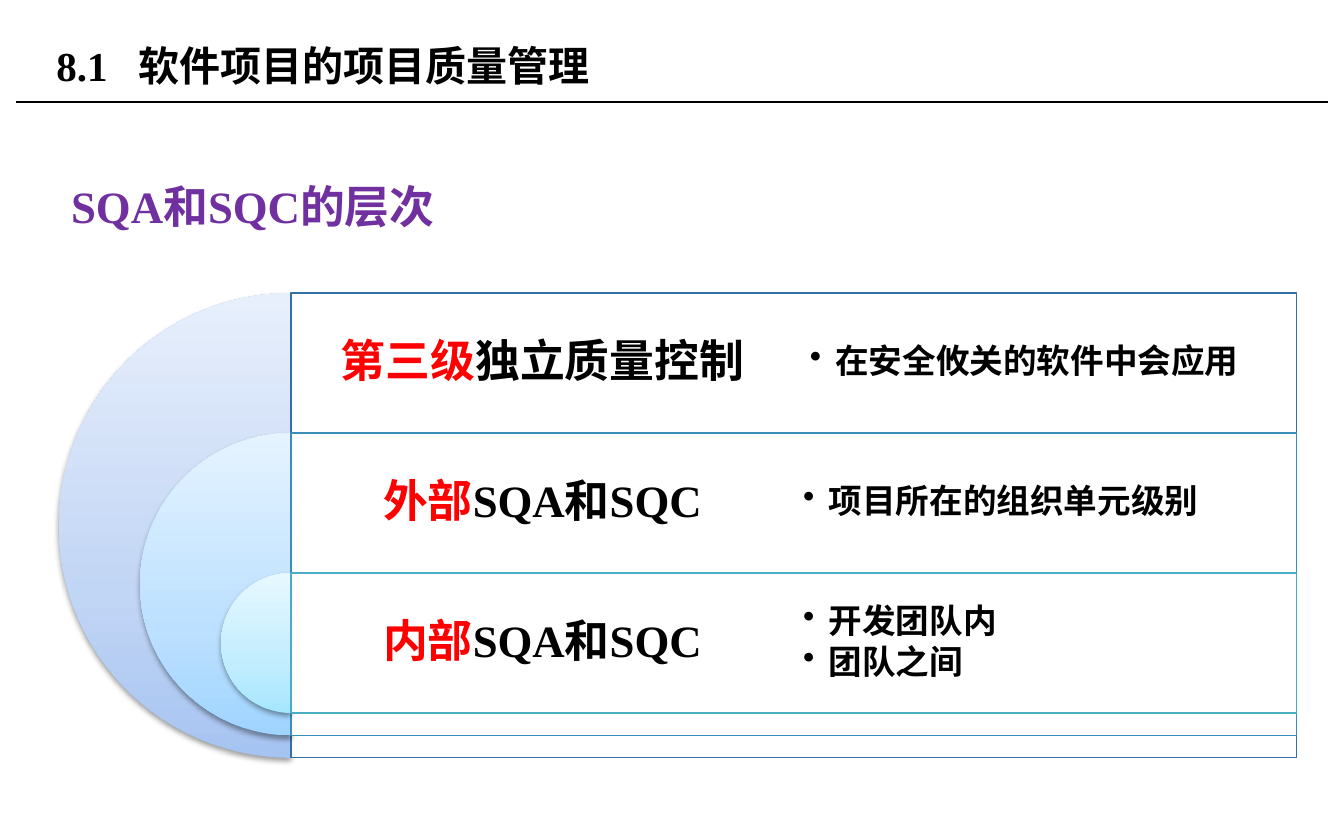
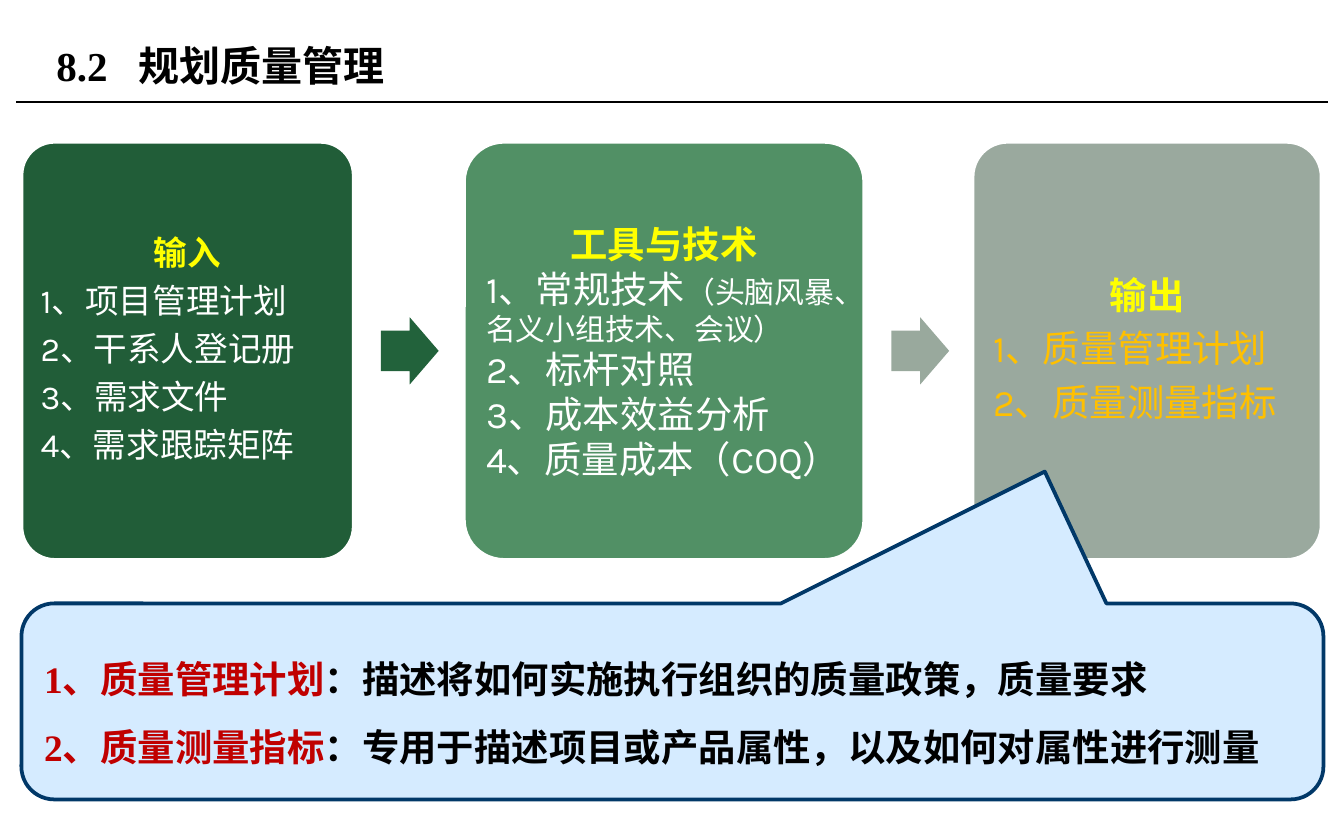
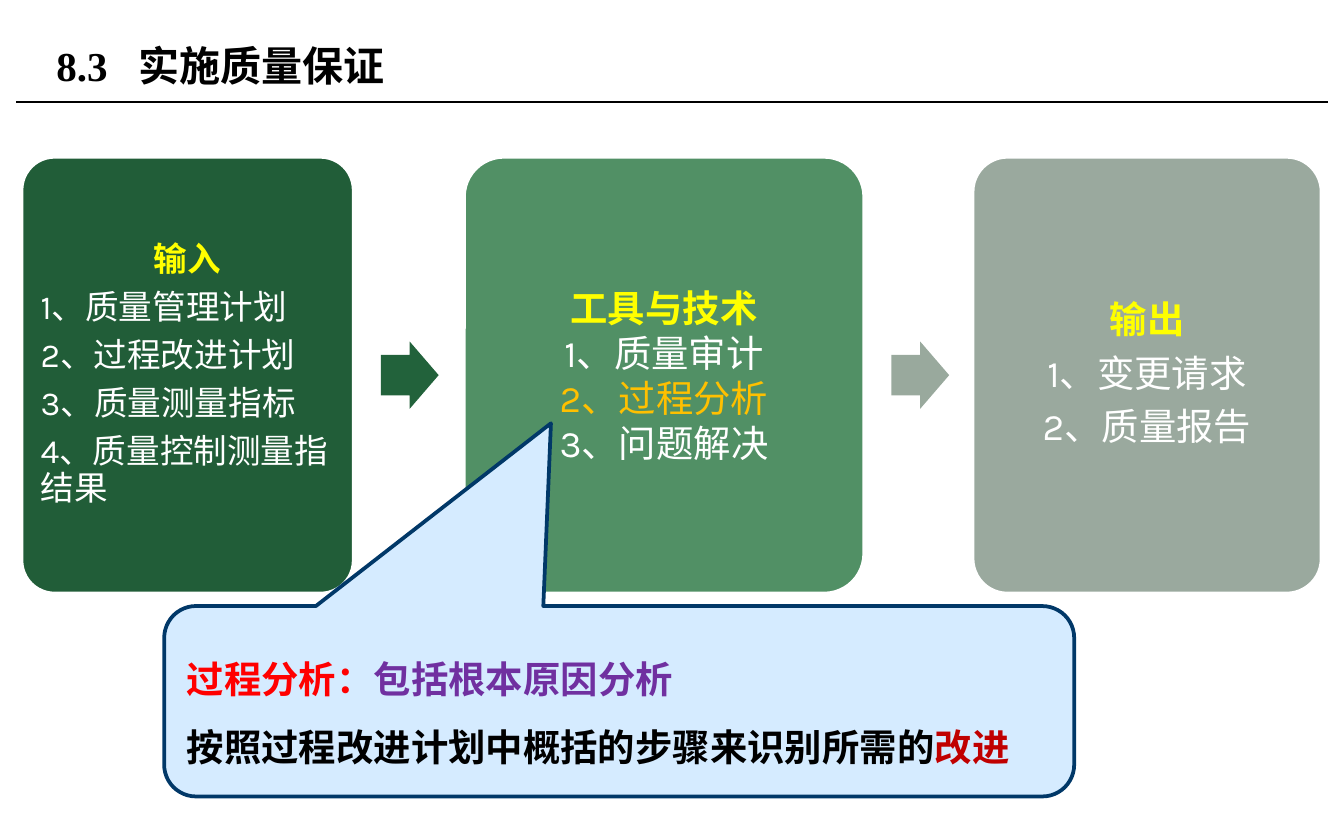
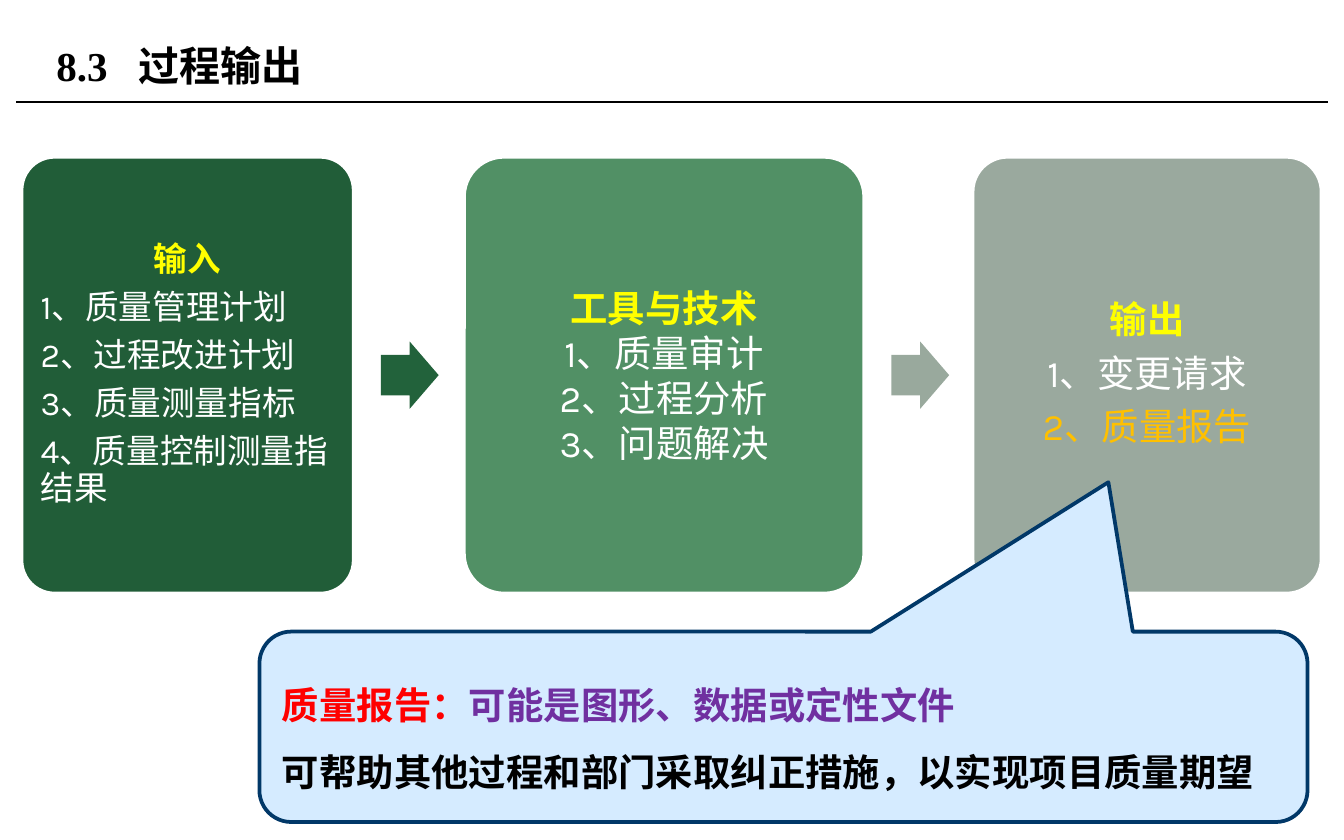
from copy import deepcopy

from lxml.etree import SubElement
from pptx import Presentation
from pptx.dml.color import RGBColor
from pptx.enum.shapes import MSO_CONNECTOR, MSO_SHAPE
from pptx.enum.text import MSO_ANCHOR, MSO_AUTO_SIZE, PP_ALIGN
from pptx.oxml.ns import qn
from pptx.util import Pt

HUES = {
    "black": "000000", "white": "FFFFFF", "red": "FF0000", "crimson": "C00000",
    "purple": "7030A0", "yellow": "FFFF00", "amber": "FFC000",
    "forest": "215D38", "green": "519065", "sage": "9AA99E",
    "dart1": "22623B", "dart2": "99A99D", "sky": "D5EBFF", "navy": "013868",
}
SERIF, SANS = "Times New Roman", "Karla"

# left, width, fill, text size, line spacing, space after (share of size)
CARDS = [
    (11.5, 178, "forest", 18, 0.9, 0.35),
    (248.5, 214.5, "green", 20, 1, 0),
    (521, 187, "sage", 20, 0.9, 0.35),
]
DARTS = ["dart1", "dart2"]

# line colour, gradient from bottom to top, label runs, bullets, bullet inset
RINGS = [
    ("3371A4", ["A6C4F1", "C1D5F4", "E7EFFC"],
     ("第三级", "独立质量控制"), ["在安全攸关的软件中会应用"], 8.6),
    ("3A8FBA", ["A0D4FF", "BCE0FF", "E5F3FF"],
     ("外部", "SQA和SQC"), ["项目所在的组织单元级别"], 5),
    ("4BACC6", ["A7E6FF", "C1EDFF", "E7F8FF"],
     ("内部", "SQA和SQC"), ["开发团队内", "团队之间"], 5),
]

PLAN = [
    ["输入", "1、项目管理计划", "2、干系人登记册", "3、需求文件", "4、需求跟踪矩阵"],
    ["工具与技术", "1、常规技术|（头脑风暴、名义小组技术、会议）", "2、标杆对照",
     "3、成本效益分析", "4、质量成本（COQ）"],
    ["输出", "1、质量管理计划", "2、质量测量指标"],
]
ASSURE = [
    ["输入", "1、质量管理计划", "2、过程改进计划", "3、质量测量指标",
     "4、质量控制测量指结果"],
    ["工具与技术", "1、质量审计", "2、过程分析", "3、问题解决"],
    ["输出", "1、变更请求", "2、质量报告"],
]


def hue(name):
    return RGBColor.from_string(HUES.get(name, name))


def add_run(para, text, color, size, bold=True, face=SERIF):
    run = para.add_run()
    run.text = text
    font = run.font
    font.size, font.bold, font.name = Pt(size), bold, face
    font.color.rgb = hue(color)
    props = run._r.get_or_add_rPr()
    props.set("lang", "zh-CN")
    SubElement(props, qn("a:ea")).set("typeface", SANS)


def add_para(frame, align=PP_ALIGN.LEFT, space=1, after=0):
    """Return the empty first paragraph, or else a new one."""
    para = frame.paragraphs[0] if not frame.text else frame.add_paragraph()
    para.alignment, para.line_spacing = align, space
    para.space_before, para.space_after = Pt(0), Pt(after)
    return para


def set_frame(frame, inset=None, anchor=MSO_ANCHOR.MIDDLE):
    frame.word_wrap, frame.auto_size = True, MSO_AUTO_SIZE.NONE
    frame.vertical_anchor = anchor
    if inset is not None:
        frame.margin_left = frame.margin_right = Pt(inset)
        frame.margin_top = frame.margin_bottom = Pt(inset)
    return frame


def add_text(slide, left, top, width, height, **style):
    box = slide.shapes.add_textbox(Pt(left), Pt(top), Pt(width), Pt(height))
    return set_frame(box.text_frame, **style)


def add_form(slide, kind, left, top, width, height, fill=None, line=None,
             weight=2, adjust=()):
    form = slide.shapes.add_shape(kind, Pt(left), Pt(top), Pt(width), Pt(height))
    form.shadow.inherit = False
    for i, value in enumerate(adjust):
        form.adjustments[i] = value
    if fill:
        form.fill.solid()
        form.fill.fore_color.rgb = hue(fill)
    if line:
        form.line.color.rgb = hue(line)
        form.line.width = Pt(weight)
    else:
        form.line.fill.background()
    return form


def add_rule(slide):
    """Put the line below the title on the layout, for all slides."""
    rule = slide.shapes.add_connector(
        MSO_CONNECTOR.STRAIGHT, Pt(8.6), Pt(54.7), Pt(711.4), Pt(54.7))
    rule.line.color.rgb = hue("black")
    rule.line.width = Pt(0.75)
    SubElement(rule._element.spPr, qn("a:effectLst"))
    slide.slide_layout.shapes._spTree.append(rule._element)


def add_slide(deck, number, name):
    slide = deck.slides.add_slide(deck.slide_layouts[5])
    title = slide.shapes.title
    title.left, title.top, title.width, title.height = map(Pt, (23, 9.4, 459.4, 51))
    para = add_para(set_frame(title.text_frame))
    tabs = SubElement(para._p.get_or_add_pPr(), qn("a:tabLst"))
    tab = SubElement(tabs, qn("a:tab"))
    tab.set("pos", str(Pt(44)))
    tab.set("algn", "l")
    add_run(para, f"{number}\t{name}", "black", 22)
    return slide


def shade(form, colors):
    """Fill upwards with a gradient and drop a soft shadow."""
    form.fill.gradient()
    form.fill.gradient_angle = 90
    props = form._element.spPr
    stops = props.find(".//" + qn("a:gsLst"))
    stops.append(deepcopy(stops[0]))
    for stop, color, place in zip(form.fill.gradient_stops, colors, (0, 0.35, 1)):
        stop.color.rgb = hue(color)
        stop.position = place
    drop = SubElement(props.find(qn("a:effectLst")), qn("a:outerShdw"))
    for key, value in (("blurRad", Pt(3.1)), ("dist", Pt(1.6)),
                       ("dir", 5400000), ("rotWithShape", 0)):
        drop.set(key, str(value))
    ink = SubElement(drop, qn("a:srgbClr"))
    ink.set("val", HUES["black"])
    SubElement(ink, qn("a:alpha")).set("val", "38000")


def add_bullet(frame, text):
    para = add_para(frame, space=0.9, after=2.7)
    para.level = 1
    props = para._p.get_or_add_pPr()
    props.set("marL", str(Pt(13.7)))
    props.set("indent", str(-Pt(13.7)))
    SubElement(props, qn("a:buChar")).set("char", "•")
    add_run(para, text, "black", 18)


def add_rings(slide):
    mid, row, wide = 156, 75, 538.5
    for i, (line, colors, label, points, inset) in enumerate(RINGS):
        top, size = 157 + i * row, 249 - i * 87
        pie = add_form(slide, MSO_SHAPE.PIE, mid - size / 2, top, size, size,
                       adjust=(54, 162))
        shade(pie, colors)
        panel = add_form(slide, MSO_SHAPE.RECTANGLE, mid, top, wide, size,
                         "white", line, 0.75)
        white = panel._element.spPr.find(qn("a:solidFill"))[0]
        SubElement(white, qn("a:alpha")).set("val", "90000")
        para = add_para(add_text(slide, mid, top, wide / 2, row, inset=7.2),
                        PP_ALIGN.CENTER, 0.9)
        for text, color in zip(label, ("red", "black")):
            add_run(para, text, color, 24)
        notes = add_text(slide, mid + wide / 2, top, wide / 2, row, inset=inset)
        for point in points:
            add_bullet(notes, point)


def add_flow(slide, top, height, lists, aligns, marked):
    """Draw the three cards and the arrows between; marked items are amber."""
    for i, (left, width, fill, size, space, after) in enumerate(CARDS):
        card = add_form(slide, MSO_SHAPE.ROUNDED_RECTANGLE, left, top, width,
                        height, fill, "white", adjust=(0.1,))
        frame = set_frame(card.text_frame, inset=size * 0.28)
        head, *items = lists[i]
        para = add_para(frame, PP_ALIGN.CENTER, space, size * after)
        add_run(para, head, "yellow", size, face=SANS)
        for item in items:
            color = "amber" if item in marked else "white"
            para = add_para(frame, aligns[i], space, size * after)
            main, *notes = item.split("|")
            add_run(para, main, color, size, False, SANS)
            for note in notes:
                add_run(para, note, color, 16, False, SANS)
        if i < len(DARTS):
            add_form(slide, MSO_SHAPE.RIGHT_ARROW, left + width + 14.5,
                     top + height / 2 - 18, 31, 36, DARTS[i], adjust=(0.6, 0.5))


def add_callout(slide, left, top, width, height, tip, lines):
    form = add_form(slide, MSO_SHAPE.ROUNDED_RECTANGULAR_CALLOUT, left, top, width,
                    height, "sky", "navy", adjust=(*tip, 0.167))
    frame = set_frame(form.text_frame)
    for runs in lines:
        para = add_para(frame, space=1.5)
        for text, color in runs:
            add_run(para, text, color, 20)


def main():
    deck = Presentation()
    deck.slide_width, deck.slide_height = Pt(720), Pt(450)
    left, center = PP_ALIGN.LEFT, PP_ALIGN.CENTER

    slide = add_slide(deck, "8.1", "软件项目的项目质量管理")
    add_rule(slide)
    intro = add_text(slide, 31, 78, 674.6, 281, anchor=MSO_ANCHOR.TOP)
    add_run(add_para(intro, space=1.5), "SQA和SQC的层次", "purple", 24)
    add_rings(slide)

    slide = add_slide(deck, "8.2", "规划质量管理")
    add_flow(slide, 76, 224, PLAN, (left, left, left), PLAN[2])
    add_callout(slide, 11.5, 323.3, 697.5, 105, (0.286, -1.173), [
        [("1、质量管理计划", "crimson"),
         ("：描述将如何实施执行组织的质量政策，质量要求", "black")],
        [("2、质量测量指标", "crimson"),
         ("：专用于描述项目或产品属性，以及如何对属性进行测量", "black")],
    ])

    slide = add_slide(deck, "8.3", "实施质量保证")
    add_flow(slide, 84, 234, ASSURE, (left, center, center), ["2、过程分析"])
    add_callout(slide, 88, 324.7, 487.5, 102, (-0.075, -1.46), [
        [("过程分析：", "red"), ("包括根本原因分析", "purple")],
        [("按照过程改进计划中概括的步骤来识别所需的", "black"),
         ("改进", "crimson")],
    ])

    slide = add_slide(deck, "8.3", "过程输出")
    add_flow(slide, 84, 234, ASSURE, (left, center, center), ["2、质量报告"])
    add_callout(slide, 139, 338.4, 561.5, 102, (0.31, -1.285), [
        [("质量报告：", "red"), ("可能是图形、数据或定性文件", "purple")],
        [("可帮助其他过程和部门采取纠正措施，以实现项目质量期望", "black")],
    ])
    deck.save("out.pptx")


if __name__ == "__main__":
    main()
